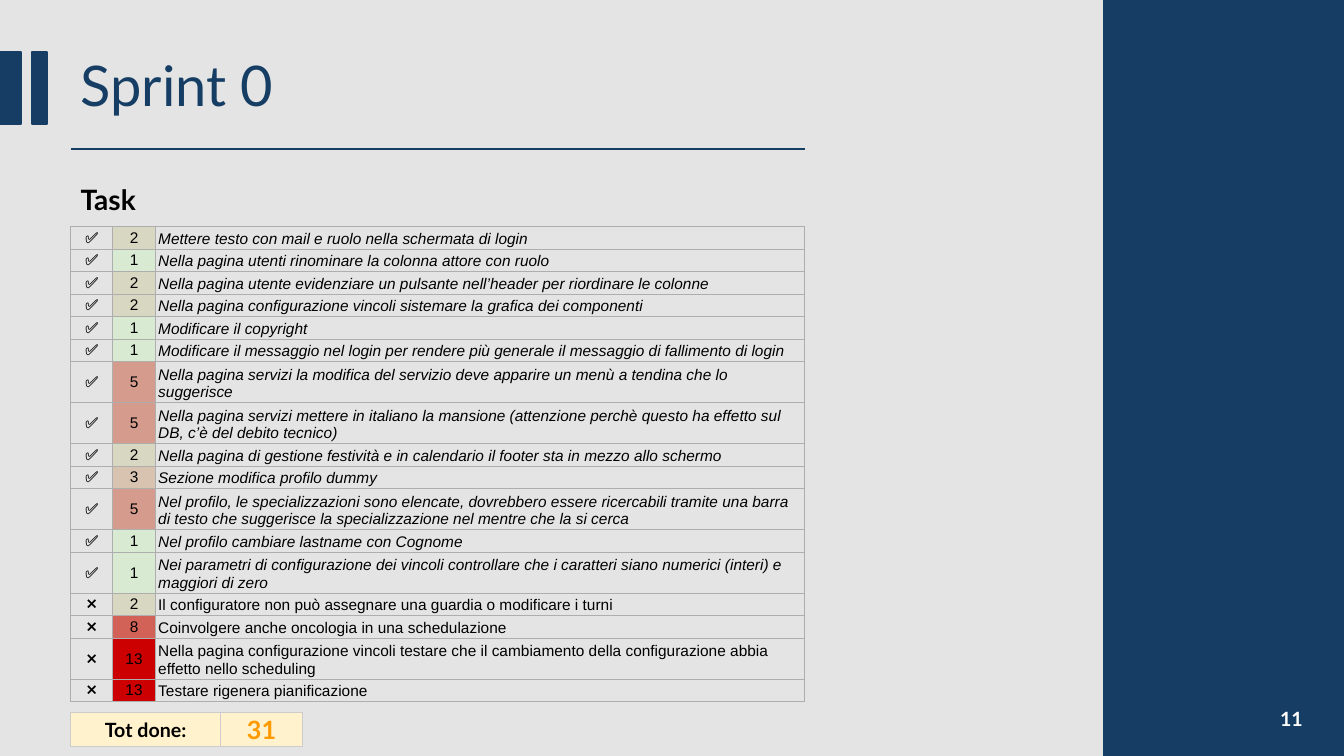
import pptx
import pptx.dml.color
import pptx.enum.shapes
import pptx.enum.text
import pptx.oxml
import pptx.oxml.ns
import pptx.util

Inches = pptx.util.Inches
Pt = pptx.util.Pt
ALIGN = pptx.enum.text.PP_ALIGN
ANCHOR = pptx.enum.text.MSO_ANCHOR

COLORS = {
    "background": "E4E4E4",
    "navy": "163E64",
    "white": "FFFFFF",
    "black": "000000",
    "task border": "AEAEAE",
    "total border": "CCCCCC",
    "total fill": "FFF2CC",
    "total value": "FF9900",
}
POINT_COLORS = {1: "D9EAD3", 2: "D8D7C2", 3: "D7C3B0", 5: "D59C8D", 8: "D26258", 13: "CC0000"}

# Points, done, lines of text, description
TASKS = [
    (2, True, 1, "Mettere testo con mail e ruolo nella schermata di login"),
    (1, True, 1, "Nella pagina utenti rinominare la colonna attore con ruolo"),
    (2, True, 1, "Nella pagina utente evidenziare un pulsante nell’header per riordinare le colonne"),
    (2, True, 1, "Nella pagina configurazione vincoli sistemare la grafica dei componenti"),
    (1, True, 1, "Modificare il copyright"),
    (1, True, 1, "Modificare il messaggio nel login per rendere più generale il messaggio "
     "di fallimento di login"),
    (5, True, 2, "Nella pagina servizi la modifica del servizio deve apparire un menù a tendina "
     "che lo suggerisce"),
    (5, True, 2, "Nella pagina servizi mettere in italiano la mansione (attenzione perchè questo "
     "ha effetto sul DB, c’è del debito tecnico)"),
    (2, True, 1, "Nella pagina di gestione festività e in calendario il footer sta in mezzo allo schermo"),
    (3, True, 1, "Sezione modifica profilo dummy"),
    (5, True, 2, "Nel profilo, le specializzazioni sono elencate, dovrebbero essere ricercabili "
     "tramite una barra di testo che suggerisce la specializzazione nel mentre che la si cerca"),
    (1, True, 1, "Nel profilo cambiare lastname con Cognome"),
    (1, True, 2, "Nei parametri di configurazione dei vincoli controllare che i caratteri siano "
     "numerici (interi) e maggiori di zero"),
    (2, False, 1, "Il configuratore non può assegnare una guardia o modificare i turni"),
    (8, False, 1, "Coinvolgere anche oncologia in una schedulazione"),
    (13, False, 2, "Nella pagina configurazione vincoli testare che il cambiamento della "
     "configurazione abbia effetto nello scheduling"),
    (13, False, 1, "Testare rigenera pianificazione"),
]
ROW_HEIGHTS = {1: 0.21, 2: 0.38}


def rgb(value):
    return pptx.dml.color.RGBColor.from_string(value)


def write(paragraph, text, size, color, font="Lato", bold=False, italic=False, align=ALIGN.LEFT):
    paragraph.alignment = align
    run = paragraph.add_run()
    run.text = text
    run.font.name = font
    run.font.size = Pt(size)
    run.font.bold = bold
    run.font.italic = italic
    run.font.color.rgb = rgb(color)


def add_label(slide, box, text, size, color, align=ALIGN.LEFT, anchor=ANCHOR.TOP):
    shape = slide.shapes.add_textbox(*map(Inches, box))
    shape.text_frame.word_wrap = True
    shape.text_frame.vertical_anchor = anchor
    write(shape.text_frame.paragraphs[0], text, size, color, bold=True, align=align)


def add_bar(slide, box):
    shape = slide.shapes.add_shape(pptx.enum.shapes.MSO_SHAPE.RECTANGLE, *map(Inches, box))
    shape.shadow.inherit = False
    shape.fill.solid()
    shape.fill.fore_color.rgb = rgb(COLORS["navy"])
    shape.line.color.rgb = rgb(COLORS["navy"])
    shape.line.width = Pt(1.5)


def add_grid(slide, box, columns, rows, border, border_width):
    """Add a plain table with thin margins and the same border on every cell."""
    left, top = box
    size = sum(columns), sum(rows)
    table = slide.shapes.add_table(len(rows), len(columns), *map(Inches, (left, top, *size))).table
    table.first_row = table.horz_banding = False
    for column, width in zip(table.columns, columns):
        column.width = Inches(width)
    for row, height in zip(table.rows, rows):
        row.height = Inches(height)
    for cell in table.iter_cells():
        cell.margin_left = cell.margin_right = Inches(0.03)
        cell.margin_top = cell.margin_bottom = Inches(0.02)
        cell.vertical_anchor = ANCHOR.MIDDLE
        properties = cell._tc.get_or_add_tcPr()
        for side in ("lnL", "lnR", "lnT", "lnB"):
            properties.append(pptx.oxml.parse_xml(
                f'<a:{side} {pptx.oxml.ns.nsdecls("a")} w="{Pt(border_width)}">'
                f'<a:solidFill><a:srgbClr val="{border}"/></a:solidFill></a:{side}>'))
        cell.fill.background()
    return table


def fill_cell(cell, color):
    cell.fill.solid()
    cell.fill.fore_color.rgb = rgb(color)


def add_header(slide, box):
    left, top, width, height = box
    # Two bars at the slide edge
    for bar_left, bar_width in ((0, 0.21), (0.32, 0.15)):
        add_bar(slide, (bar_left, top, bar_width, height))
    # Title
    title = slide.shapes.title
    title.left, title.top, title.width, title.height = map(Inches, (left, top, width, height))
    frame = title.text_frame
    frame.auto_size = pptx.enum.text.MSO_AUTO_SIZE.NONE
    frame.vertical_anchor = ANCHOR.MIDDLE
    frame.paragraphs[0].line_spacing = 0.9
    write(frame.paragraphs[0], "Sprint 0", 40, COLORS["navy"])
    # Rule under the title
    rule_top = top + height + 0.25
    rule = slide.shapes.add_connector(
        pptx.enum.shapes.MSO_CONNECTOR.STRAIGHT,
        *map(Inches, (left, rule_top, left + 7.28, rule_top)))
    rule.line.color.rgb = rgb(COLORS["navy"])
    rule.line.width = Pt(1.5)
    rule._element.spPr.append(
        pptx.oxml.parse_xml(f'<a:effectLst {pptx.oxml.ns.nsdecls("a")}/>'))


def add_side_panel(slide, box):
    left, top, width, height = box
    add_bar(slide, box)
    add_label(slide, (left - 0.93, top + 6.93, 3, 0.4), "11", 14, COLORS["white"],
              ALIGN.RIGHT, ANCHOR.MIDDLE)


def add_tasks(slide, box):
    left, top, width = box
    add_label(slide, (left, top, width, 0.44), "Task", 20, COLORS["black"])
    heights = [ROW_HEIGHTS[lines] for _, _, lines, _ in TASKS]
    table = add_grid(slide, (left, top + 0.49), (0.42, 0.42, width - 0.84), heights,
                     COLORS["task border"], 1)
    for row, (points, done, _, description) in zip(table.rows, TASKS):
        status, score, detail = row.cells
        for cell, text in ((status, "✅" if done else "❌"), (score, str(points))):
            write(cell.text_frame.paragraphs[0], text, 11, COLORS["black"], "Arial",
                  align=ALIGN.CENTER)
        fill_cell(score, POINT_COLORS[points])
        detail.vertical_anchor = ANCHOR.BOTTOM
        write(detail.text_frame.paragraphs[0], description, 11, COLORS["black"], "Arial",
              italic=done)


def add_total(slide, box):
    left, top, height = box
    table = add_grid(slide, (left, top), (1.49, 0.81), [height], COLORS["total border"], 0.75)
    done_points = sum(points for points, done, _, _ in TASKS if done)
    entries = (("Tot done:", 14, COLORS["black"]), (str(done_points), 18, COLORS["total value"]))
    for cell, (text, size, color) in zip(table.iter_cells(), entries):
        fill_cell(cell, COLORS["total fill"])
        write(cell.text_frame.paragraphs[0], text, size, color, bold=True, align=ALIGN.CENTER)


def main():
    presentation = pptx.Presentation()
    presentation.slide_width = Inches(13.33)
    presentation.slide_height = Inches(7.5)
    slide = presentation.slides.add_slide(presentation.slide_layouts.get_by_name("Title Only"))
    slide.background.fill.solid()
    slide.background.fill.fore_color.rgb = rgb(COLORS["background"])
    add_header(slide, (0.7, 0.52, 8.42, 0.71))
    add_side_panel(slide, (10.95, 0, 2.38, 7.5))
    add_tasks(slide, (0.7, 1.76, 7.28))
    add_total(slide, (0.7, 7.07, 0.34))
    presentation.save("out.pptx")


if __name__ == "__main__":
    main()
